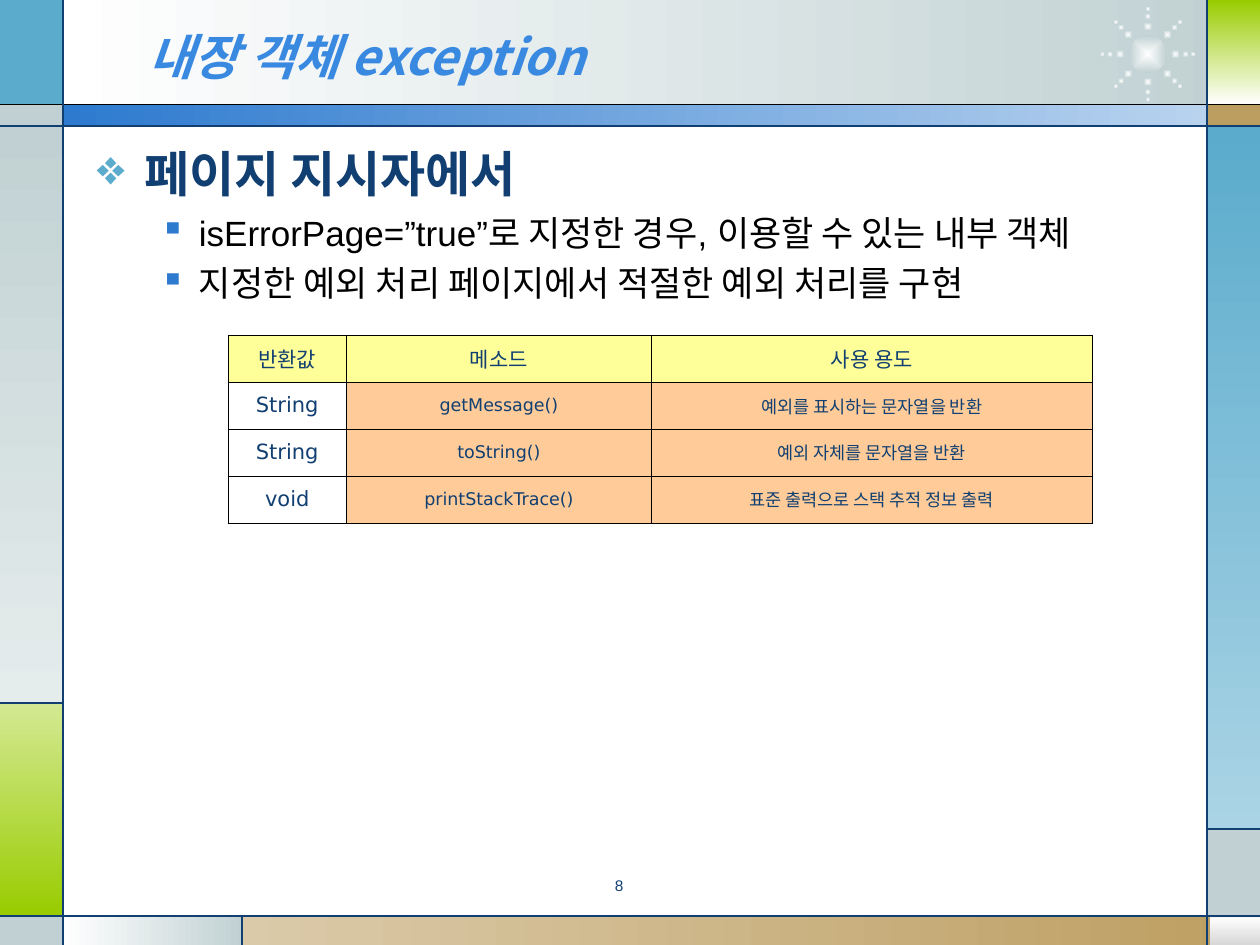
from dataclasses import dataclass
from math import cos, radians, sin

from lxml.etree import SubElement
from pptx import Presentation
from pptx.dml.color import RGBColor
from pptx.enum.shapes import MSO_CONNECTOR, MSO_SHAPE
from pptx.enum.text import MSO_ANCHOR, PP_ALIGN
from pptx.oxml.ns import qn
from pptx.util import Inches, Pt

NAVY, MIST, SKY = "113F71", "C1D1D3", "5AABCC"
LIME, SAND, WHITE, BLACK = "99CC00", "BD9E61", "FFFFFF", "000000"
KOREAN = "Noto Sans CJK KR"


@dataclass
class Panel:
    left: float
    top: float
    width: float
    height: float
    start: str
    end: str = ""
    angle: int = 0


@dataclass
class Rule:
    x1: float
    y1: float
    x2: float
    y2: float
    color: str = NAVY


@dataclass
class Item:
    text: str
    style: dict
    mark: str
    tint: str
    margin: float
    hang: float
    before: int


PANELS = [
    Panel(0.5, 0, 9.27, 0.84, WHITE, MIST),
    Panel(0, 0, 0.5, 0.84, SKY),
    Panel(0, 0.83, 0.5, 0.17, MIST),
    Panel(0, 1, 0.5, 4.58, MIST, "E5ECEC", 270),
    Panel(0, 5.58, 0.5, 1.69, "D4E993", LIME, 270),
    Panel(0, 7.27, 0.5, 0.23, MIST),
    Panel(0.5, 7.27, 1.43, 0.23, WHITE, MIST),
    Panel(1.92, 7.27, 8.08, 0.23, "DBCAA9", SAND),
    Panel(9.6, 7.27, 0.4, 0.23, WHITE, "D8D8D8", 270),
    Panel(9.58, 6.58, 0.42, 0.7, MIST),
    Panel(9.58, 1, 0.42, 5.58, SKY, "AAD4E5", 270),
    Panel(9.58, 0.83, 0.42, 0.17, SAND),
    Panel(9.58, 0, 0.42, 0.83, LIME, WHITE, 270),
    Panel(0.5, 0.83, 9.09, 0.17, "2D7ACF", "B9D3EF"),
]
RULES = [
    Rule(0, 0.83, 10, 0.83, BLACK),
    Rule(0, 1, 10, 1),
    Rule(0, 7.27, 10, 7.27),
    Rule(0.5, 0, 0.5, 7.5),
    Rule(9.58, 0, 9.58, 7.5),
    Rule(0, 5.58, 0.5, 5.58),
    Rule(1.92, 7.27, 1.92, 7.5),
    Rule(9.58, 6.58, 10, 6.58),
]
TITLE = dict(name=KOREAN, size=Pt(28), bold=True, italic=True, color="3989E1")
HEAD = dict(name=KOREAN, size=Pt(28), bold=True, color=NAVY)
POINT = dict(name="Arial", size=Pt(20), bold=False, color=BLACK)
PAGE = dict(name="Arial", size=Pt(8.8), color=NAVY)
LARGE = dict(name="DejaVu Sans", size=Pt(12), bold=False, color=NAVY)
SMALL = LARGE | dict(size=Pt(10))
ITEMS = [
    Item("페이지 지시자에서", HEAD, "❖", SKY, 0.38, 0.38, 7),
    Item("isErrorPage=”true”로 지정한 경우, 이용할 수 있는 내부 객체",
         POINT, "▪", "2D7ACF", 0.81, 0.31, 5),
    Item("지정한 예외 처리 페이지에서 적절한 예외 처리를 구현",
         POINT, "▪", "2D7ACF", 0.81, 0.31, 5),
]
ROWS = [
    ("반환값", "메소드", "사용 용도"),
    ("String", "getMessage()", "예외를 표시하는 문자열을 반환"),
    ("String", "toString()", "예외 자체를 문자열을 반환"),
    ("void", "printStackTrace()", "표준 출력으로 스택 추적 정보 출력"),
]
WIDTHS = (0.94, 2.42, 3.5)

deck = Presentation()
deck.slide_width, deck.slide_height = Inches(10), Inches(7.5)
slide = deck.slides.add_slide(deck.slide_layouts[6])
shapes = slide.shapes


def rgb(value: str) -> RGBColor:
    return RGBColor.from_string(value)


def paint(part: Panel, kind=MSO_SHAPE.RECTANGLE):
    box = [Inches(v) for v in (part.left, part.top, part.width, part.height)]
    shape = shapes.add_shape(kind, *box)
    shape.shadow.inherit = False
    shape.line.fill.background()
    if part.end:
        shape.fill.gradient()
        shape.fill.gradient_angle = part.angle
        for stop, color in zip(shape.fill.gradient_stops, (part.start, part.end)):
            stop.color.rgb = rgb(color)
    else:
        shape.fill.solid()
        shape.fill.fore_color.rgb = rgb(part.start)
    return shape


def glow(x: float, y: float, size: float) -> None:
    dot = paint(Panel(x - size / 2, y - size / 2, size, size, WHITE, MIST),
                MSO_SHAPE.OVAL)
    grad = dot.element.spPr.find(qn("a:gradFill"))
    grad.remove(grad.find(qn("a:lin")))
    ring = SubElement(grad, qn("a:path"), {"path": "rect"})
    SubElement(ring, qn("a:fillToRect"), dict.fromkeys("ltrb", "50000"))


def draw(rule: Rule) -> None:
    ends = [Inches(v) for v in (rule.x1, rule.y1, rule.x2, rule.y2)]
    line = shapes.add_connector(MSO_CONNECTOR.STRAIGHT, *ends)
    line.line.color.rgb = rgb(rule.color)
    line.line.width = Pt(0.74)
    SubElement(line.element.spPr, qn("a:effectLst"))


def write(para, text: str, style: dict) -> None:
    run = para.add_run()
    run.text = text
    for key, value in style.items():
        if key == "color":
            run.font.color.rgb = rgb(value)
        else:
            setattr(run.font, key, value)
    SubElement(run.font._element, qn("a:ea"), {"typeface": KOREAN})


def frame(left: float, top: float, width: float, height: float):
    box = shapes.add_textbox(*[Inches(v) for v in (left, top, width, height)])
    box.text_frame.word_wrap = True
    return box.text_frame


def bullet(para, item: Item) -> None:
    para.space_before = Pt(item.before)
    props = para._p.get_or_add_pPr()
    props.set("marL", str(Inches(item.margin)))
    props.set("indent", str(-Inches(item.hang)))
    tint = SubElement(props, qn("a:buClr"))
    SubElement(tint, qn("a:srgbClr"), {"val": item.tint})
    SubElement(props, qn("a:buChar"), {"char": item.mark})
    write(para, item.text, item.style)


def fill_cell(cell, text: str, style: dict, color: str) -> None:
    cell.vertical_anchor = MSO_ANCHOR.MIDDLE
    cell.margin_left = cell.margin_right = Inches(0.07)
    props = cell._tc.get_or_add_tcPr()
    for side in "LRTB":
        edge = SubElement(props, qn(f"a:ln{side}"), {"w": str(Pt(0.45))})
        solid = SubElement(edge, qn("a:solidFill"))
        SubElement(solid, qn("a:srgbClr"), {"val": BLACK})
    if color:
        cell.fill.solid()
        cell.fill.fore_color.rgb = rgb(color)
    else:
        cell.fill.background()
    para = cell.text_frame.paragraphs[0]
    para.alignment = PP_ALIGN.CENTER
    write(para, text, style)


for panel in PANELS:
    paint(panel)
glow(9.11, 0.43, 0.3)
for arm in range(8):
    turn = radians(45 * arm)
    for reach, size in ((0.22, 0.07), (0.3, 0.05), (0.36, 0.04)):
        glow(9.11 + reach * cos(turn), 0.43 + reach * sin(turn), size)
for rule in RULES:
    draw(rule)

title = frame(1.08, 0.13, 7.33, 0.62)
title.vertical_anchor = MSO_ANCHOR.MIDDLE
write(title.paragraphs[0], "내장 객체 exception", TITLE)

body = frame(0.67, 1.09, 8.77, 5.63)
for index, item in enumerate(ITEMS):
    bullet(body.add_paragraph() if index else body.paragraphs[0], item)

page = frame(3.75, 6.93, 2.33, 0.27).paragraphs[0]
page.alignment = PP_ALIGN.CENTER
page.line_spacing = 0.8
write(page, "8", PAGE)

table = shapes.add_table(4, 3, Inches(1.81), Inches(2.66),
                         Inches(sum(WIDTHS)), Inches(1.49)).table
table.first_row = table.horz_banding = False
for column, width in zip(table.columns, WIDTHS):
    column.width = Inches(width)
for r, row in enumerate(ROWS):
    for c, text in enumerate(row):
        color = "FFFF99" if r == 0 else "FFCC99" if c else ""
        fill_cell(table.cell(r, c), text, SMALL if r and c else LARGE, color)

deck.save("out.pptx")
